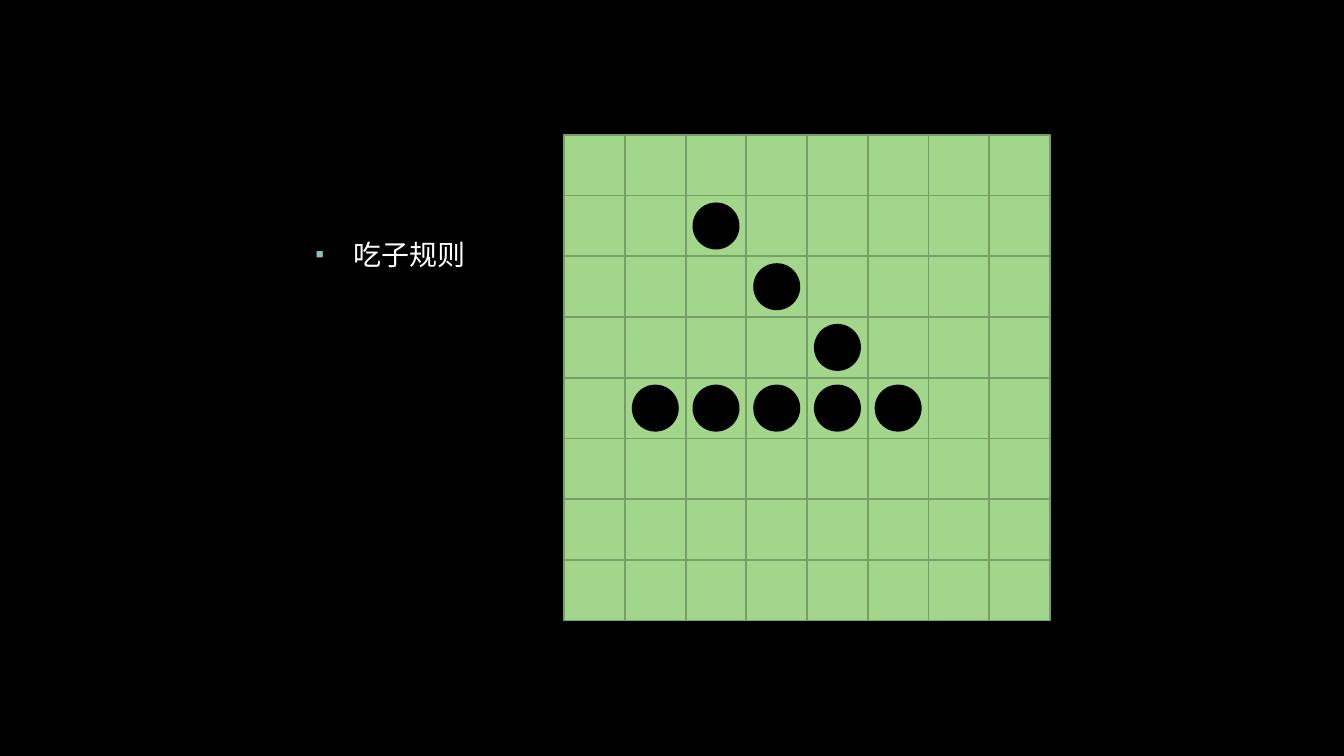
from dataclasses import dataclass

from lxml.etree import SubElement
from pptx import Presentation
from pptx.dml.color import RGBColor as RGB
from pptx.enum.shapes import MSO_SHAPE as SHAPE
from pptx.oxml.ns import qn
from pptx.util import Cm, Pt


@dataclass(frozen=True)
class Theme:
    background: str = "000000"
    square: str = "A1D68B"
    grid: str = "779E67"
    piece: str = "000000"
    text: str = "FFFFFF"
    bullet: str = "8EC0C1"
    font: str = "Arial"
    text_size: float = 20
    outline: float = 1.25


theme = Theme()

BOARD_LEFT, BOARD_TOP = 14.22, 3.4
BOARD_SIZE = 8
SQUARE = 1.53
PIECE = 1.14
INSET = (SQUARE - PIECE) / 2
DIAGONAL = [(1, 2), (2, 3), (3, 4)]
ROW = [(4, column) for column in range(1, 6)]

prs = Presentation()
prs.slide_width, prs.slide_height = Cm(33.87), Cm(19.05)
slide = prs.slides.add_slide(prs.slide_layouts[6])
slide.background.fill.solid()
slide.background.fill.fore_color.rgb = RGB.from_string(theme.background)


def add_on_board(kind, row, column, size, inset, fill, line):
    """Place a shape in the board square at row and column."""
    shape = slide.shapes.add_shape(
        kind,
        Cm(BOARD_LEFT + column * SQUARE + inset),
        Cm(BOARD_TOP + row * SQUARE + inset),
        Cm(size), Cm(size))
    shape.shadow.inherit = False
    shape.fill.solid()
    shape.fill.fore_color.rgb = RGB.from_string(fill)
    shape.line.color.rgb = RGB.from_string(line)
    shape.line.width = Pt(theme.outline)


# Heading
heading = slide.shapes.add_textbox(Cm(7.7), Cm(5.69), Cm(21.67), Cm(11.1))
heading.text_frame.word_wrap = True
rule = heading.text_frame.paragraphs[0]
rule.line_spacing = 1.2
rule.space_before, rule.space_after = Pt(10), Pt(6)
rule_text = rule.add_run()
rule_text.text = "吃子规则"
rule_text.font.name = theme.font
rule_text.font.size = Pt(theme.text_size)
rule_text.font.color.rgb = RGB.from_string(theme.text)

rule_format = rule._p.get_or_add_pPr()
rule_format.set("marL", str(Cm(0.95)))
rule_format.set("indent", str(-Cm(0.95)))
bullet_color = SubElement(rule_format, qn("a:buClr"))
SubElement(bullet_color, qn("a:srgbClr"), val=theme.bullet)
SubElement(rule_format, qn("a:buSzPct"), val="90000")
SubElement(rule_format, qn("a:buFont"), typeface=theme.font)
SubElement(rule_format, qn("a:buChar"), char="▪")

# Board
for row in range(BOARD_SIZE):
    for column in range(BOARD_SIZE):
        add_on_board(SHAPE.RECTANGLE, row, column, SQUARE, 0,
                     theme.square, theme.grid)

# Pieces
for row, column in DIAGONAL + ROW:
    add_on_board(SHAPE.OVAL, row, column, PIECE, INSET,
                 theme.piece, theme.piece)

prs.save("out.pptx")
